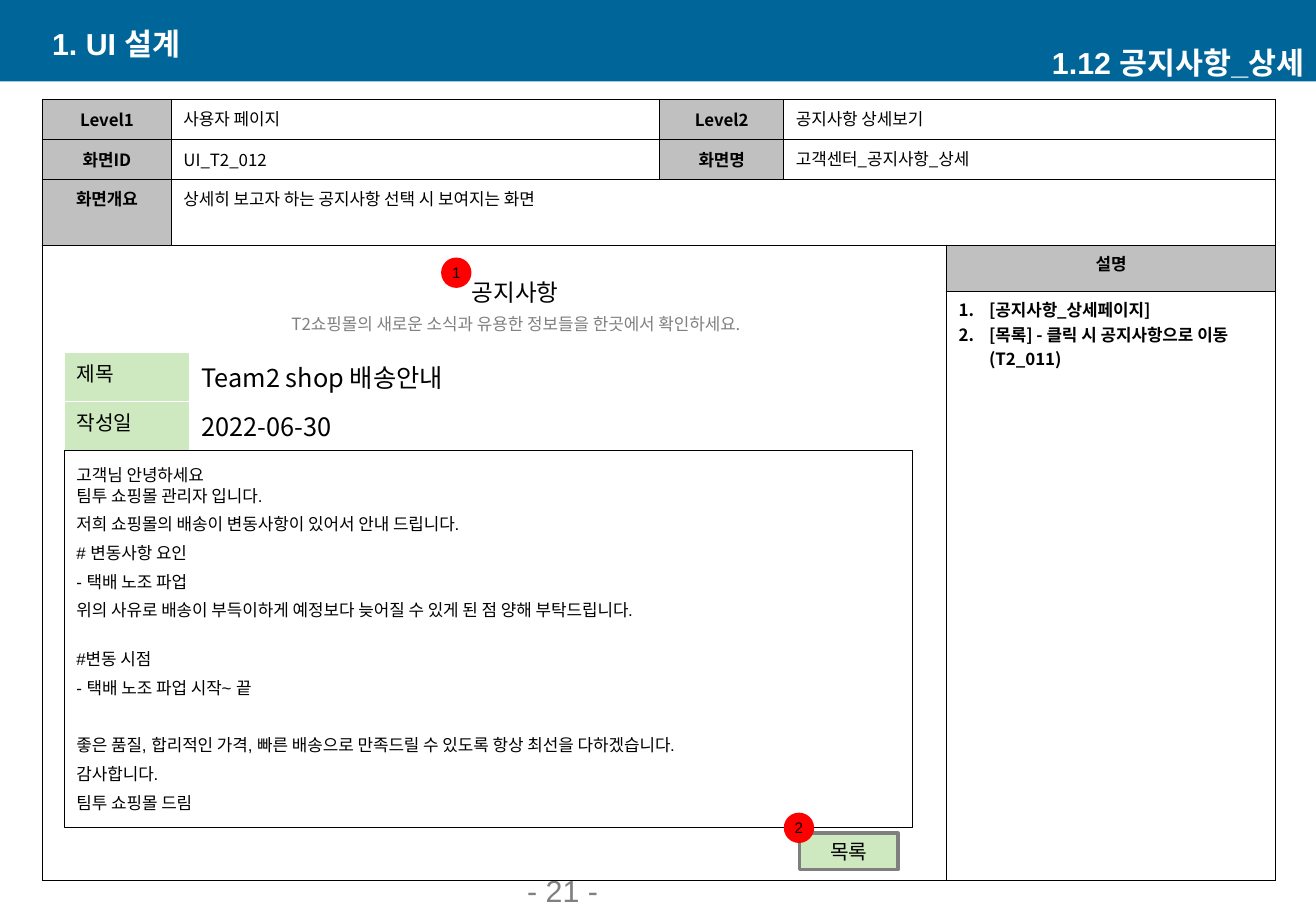
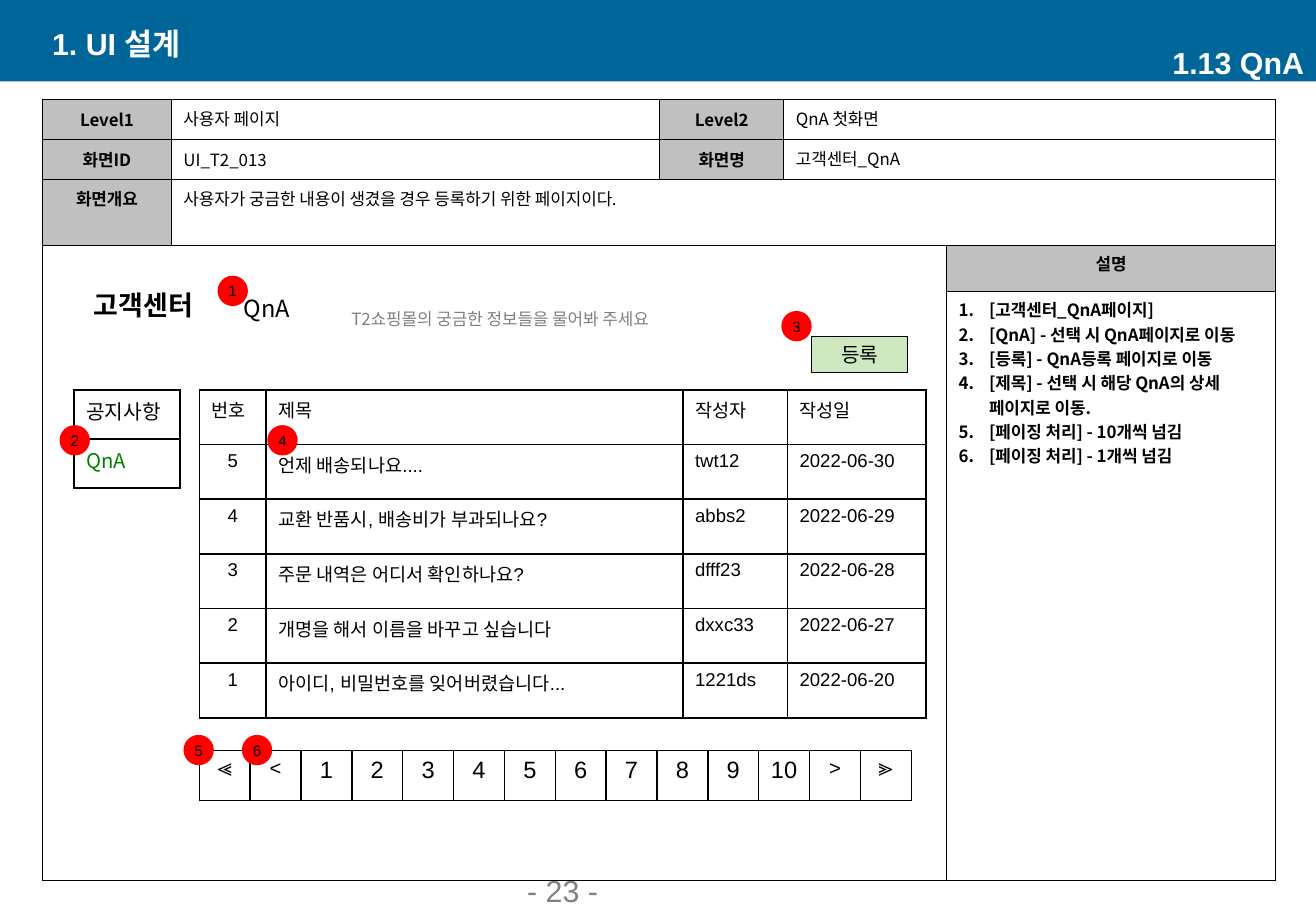
from lxml import etree
from pptx import Presentation
from pptx.dml.color import RGBColor
from pptx.enum.shapes import MSO_SHAPE
from pptx.enum.text import MSO_ANCHOR, PP_ALIGN
from pptx.oxml.ns import qn
from pptx.util import Inches, Pt

BLUE = RGBColor(0x00, 0x66, 0x99)
WHITE = RGBColor(0xFF, 0xFF, 0xFF)
BLACK = RGBColor(0x00, 0x00, 0x00)
GRAY = RGBColor(0x80, 0x80, 0x80)
DARK_GRAY = RGBColor(0x7F, 0x7F, 0x7F)
SILVER = RGBColor(0xC0, 0xC0, 0xC0)
MINT = RGBColor(0xCE, 0xE9, 0xBF)
GREEN = RGBColor(0x00, 0x80, 0x00)
RED = RGBColor(0xFF, 0x00, 0x00)

ARIAL, NOTO = "Arial", "Noto Sans CJK KR"
LEFT, CENTER, RIGHT = PP_ALIGN.LEFT, PP_ALIGN.CENTER, PP_ALIGN.RIGHT
TOP, MIDDLE, BOTTOM = MSO_ANCHOR.TOP, MSO_ANCHOR.MIDDLE, MSO_ANCHOR.BOTTOM
RECT, OVAL = MSO_SHAPE.RECTANGLE, MSO_SHAPE.OVAL

SCREENS = [
    {
        "page": "- 21 -",
        "title": "1.12 공지사항_상세",
        "level2": "공지사항 상세보기",
        "id": "UI_T2_012",
        "name": "고객센터_공지사항_상세",
        "overview": "상세히 보고자 하는 공지사항 선택 시 보여지는 화면",
        "notes": ["[공지사항_상세페이지]", "[목록] - 클릭 시 공지사항으로 이동(T2_011)"],
        "captions": [
            ("공지사항", 3.63, 2.24, 1.22, 0.43, 14, BLACK, False),
            ("T2쇼핑몰의 새로운 소식과 유용한 정보들을 한곳에서 확인하세요.",
             2, 2.53, 4.49, 0.27, 10, GRAY, False),
        ],
        "button": ("목록", 6.58, 6.86, 0.81, DARK_GRAY, 2),
        "markers": [(3.63, 2.12), (6.45, 6.69)],
    },
    {
        "page": "- 23 -",
        "title": "1.13 QnA",
        "level2": "QnA 첫화면",
        "id": "UI_T2_013",
        "name": "고객센터_QnA",
        "overview": "사용자가 궁금한 내용이 생겼을 경우 등록하기 위한 페이지이다.",
        "notes": ["[고객센터_QnA페이지]", "[QnA] - 선택 시 QnA페이지로 이동",
                  "[등록] - QnA등록 페이지로 이동",
                  "[제목] - 선택 시 해당 QnA의 상세 페이지로 이동.",
                  "[페이징 처리] - 10개씩 넘김", "[페이징 처리] - 1개씩 넘김"],
        "captions": [
            ("QnA", 1.87, 2.37, 0.65, 0.43, 14, BLACK, False),
            ("고객센터", 0.57, 2.33, 1.22, 0.43, 16, BLACK, True),
            ("T2쇼핑몰의 궁금한 정보들을 물어봐 주세요",
             2.5, 2.49, 3.23, 0.28, 10, GRAY, False),
        ],
        "button": ("등록", 6.68, 2.77, 0.79, BLACK, 0.75),
        "markers": [(1.79, 2.27), (0.49, 3.5), (6.43, 2.56),
                    (2.2, 3.5), (1.51, 6.05), (1.99, 6.05)],
    },
]


def write(tf, lines, size, font=NOTO, color=BLACK, bold=False, align=LEFT, anchor=TOP):
    tf.word_wrap = True
    tf.vertical_anchor = anchor
    for i, line in enumerate(lines):
        p = tf.paragraphs[0] if i == 0 else tf.add_paragraph()
        p.text = line
        p.alignment = align
        p.font.size = Pt(size)
        p.font.name = font
        p.font.color.rgb = color
        p.font.bold = bold


def add_grid(s, left, top, cols, rows, border=True):
    """Add an unfilled table, with thin black cell borders if asked for."""
    table = s.shapes.add_table(len(rows), len(cols), Inches(left), Inches(top),
                               Inches(sum(cols)), Inches(sum(rows))).table
    table.first_row = table.horz_banding = False
    for column, width in zip(table.columns, cols):
        column.width = Inches(width)
    for row, height in zip(table.rows, rows):
        row.height = Inches(height)
    for cell in table.iter_cells():
        cell.text_frame.paragraphs[0].font.size = Pt(10)
        tcPr = cell._tc.get_or_add_tcPr()
        for side in ("a:lnL", "a:lnR", "a:lnT", "a:lnB") if border else ():
            ln = etree.SubElement(tcPr, qn(side), w=str(Pt(1)))
            fill = etree.SubElement(ln, qn("a:solidFill"))
            etree.SubElement(fill, qn("a:srgbClr"), val=str(BLACK))
        cell.fill.background()
    return table


prs = Presentation()
prs.slide_width, prs.slide_height = Inches(10.83), Inches(7.5)
slides = []

# Header, footer and specification table of every screen
for screen in SCREENS:
    s = prs.slides.add_slide(prs.slide_layouts[6])
    slides.append(s)
    band = s.shapes.add_shape(RECT, 0, 0, prs.slide_width, Inches(0.67))
    band.shadow.inherit = False
    band.fill.solid()
    band.fill.fore_color.rgb = BLUE
    band.line.fill.background()

    for text, x, y, w, h, color, bold, align, anchor in (
        (screen["page"], 4.24, 7.3, 2.26, 0.23, GRAY, False, LEFT, BOTTOM),
        ("1. UI 설계", 0.33, 0.19, 4.38, 0.33, WHITE, True, LEFT, MIDDLE),
        (screen["title"], 6.45, 0.35, 4.38, 0.33, WHITE, True, RIGHT, MIDDLE),
    ):
        box = s.shapes.add_textbox(Inches(x), Inches(y), Inches(w), Inches(h))
        write(box.text_frame, [text], 18, ARIAL, color, bold, align, anchor)

    table = add_grid(s, 0.35, 0.82, [1.06, 4.02, 1.02, 1.34, 2.71],
                     [0.33, 0.33, 0.54, 0.38, 4.85])
    for first, last in (((0, 3), (0, 4)), ((1, 3), (1, 4)),
                        ((2, 1), (2, 4)), ((3, 0), (4, 3))):
        table.cell(*first).merge(table.cell(*last))
    for r, c, label, anchor in (
        (0, 0, "Level1", MIDDLE), (0, 2, "Level2", MIDDLE),
        (1, 0, "화면ID", MIDDLE), (1, 2, "화면명", MIDDLE),
        (2, 0, "화면개요", TOP), (3, 4, "설명", TOP),
    ):
        cell = table.cell(r, c)
        cell.fill.solid()
        cell.fill.fore_color.rgb = SILVER
        write(cell.text_frame, [label], 10, bold=True, align=CENTER)
        cell.vertical_anchor = anchor
    for r, c, value in (
        (0, 1, "사용자 페이지"), (0, 3, screen["level2"]), (1, 1, screen["id"]),
        (1, 3, screen["name"]), (2, 1, screen["overview"]),
    ):
        write(table.cell(r, c).text_frame, [value], 10)
    screen_id = table.cell(1, 1).text_frame.paragraphs[0]
    screen_id.line_spacing = 1.04
    screen_id.space_before = Pt(2)

    notes = table.cell(4, 4).text_frame
    write(notes, screen["notes"], 10, bold=True)
    for p in notes.paragraphs:
        pPr = p._p.get_or_add_pPr()
        pPr.set("marL", str(Inches(0.25)))
        pPr.set("indent", str(Inches(-0.25)))
        number = etree.Element(qn("a:buAutoNum"), type="arabicPeriod")
        pPr.insert(0, number)

    for text, x, y, w, h, size, color, bold in screen["captions"]:
        box = s.shapes.add_textbox(Inches(x), Inches(y), Inches(w), Inches(h))
        write(box.text_frame, [text], size, NOTO, color, bold, CENTER)

notice_slide, qna_slide = slides

# Notice detail
heading = add_grid(notice_slide, 0.53, 2.9, [1.03, 3.31], [0.405] * 2, border=False)
for r, (label, value) in enumerate((("제목", "Team2 shop 배송안내"),
                                    ("작성일", "2022-06-30"))):
    cell = heading.cell(r, 0)
    cell.fill.solid()
    cell.fill.fore_color.rgb = MINT
    write(cell.text_frame, [label], 12)
    write(heading.cell(r, 1).text_frame, [value], 15)

NOTICE = [
    ("고객님 안녕하세요\n팀투 쇼핑몰 관리자 입니다.", 2.5),
    ("저희 쇼핑몰의 배송이 변동사항이 있어서 안내 드립니다.", 2.5),
    ("# 변동사항 요인", 2.5),
    ("- 택배 노조 파업", 2.5),
    ("위의 사유로 배송이 부득이하게 예정보다 늦어질 수 있게 된 점 양해 부탁드립니다.", 2.5),
    ("#변동 시점", 14.5),
    ("- 택배 노조 파업 시작~ 끝", 2.5),
    ("좋은 품질, 합리적인 가격, 빠른 배송으로 만족드릴 수 있도록 항상 최선을 다하겠습니다.", 19.5),
    ("감사합니다.", 2.5),
    ("팀투 쇼핑몰 드림", 2.5),
]
body = notice_slide.shapes.add_shape(RECT, Inches(0.53), Inches(3.71),
                                     Inches(6.98), Inches(3.1))
body.shadow.inherit = False
body.fill.solid()
body.fill.fore_color.rgb = WHITE
body.line.color.rgb = BLACK
body.line.width = Pt(0.25)
write(body.text_frame, [text for text, _ in NOTICE], 10, ARIAL, anchor=MIDDLE)
for p, (_, before) in zip(body.text_frame.paragraphs, NOTICE):
    p.space_before = Pt(before)
    p.space_after = Pt(2.5)

# QnA list
menu = add_grid(qna_slide, 0.61, 3.21, [0.87], [0.405] * 2)
write(menu.cell(0, 0).text_frame, ["공지사항"], 12)
write(menu.cell(1, 0).text_frame, ["QnA"], 12, color=GREEN)

QUESTIONS = [
    ("번호", "제목", "작성자", "작성일"),
    ("5", "언제 배송되나요....", "twt12", "2022-06-30"),
    ("4", "교환 반품시, 배송비가 부과되나요?", "abbs2", "2022-06-29"),
    ("3", "주문 내역은 어디서 확인하나요?", "dfff23", "2022-06-28"),
    ("2", "개명을 해서 이름을 바꾸고 싶습니다", "dxxc33", "2022-06-27"),
    ("1", "아이디, 비밀번호를 잊어버렸습니다...", "1221ds", "2022-06-20"),
]
board = add_grid(qna_slide, 1.64, 3.21, [0.55, 3.43, 0.86, 1.14], [0.45] * len(QUESTIONS))
for r, question in enumerate(QUESTIONS):
    for c, text in enumerate(question):
        align = CENTER if r and c == 0 else LEFT
        write(board.cell(r, c).text_frame, [text], 11, ARIAL, align=align)

PAGES = ["≪", "<", *(str(n) for n in range(1, 11)), ">", "≫"]
pager = add_grid(qna_slide, 1.64, 6.18, [5.86 / len(PAGES)] * len(PAGES), [0.41])
for c, text in enumerate(PAGES):
    size = 14 if text.isdigit() else 12
    write(pager.cell(0, c).text_frame, [text], size, ARIAL, align=CENTER)

# Buttons and numbered markers lie on top
for s, screen in zip(slides, SCREENS):
    text, x, y, w, line_color, line_width = screen["button"]
    button = s.shapes.add_shape(RECT, Inches(x), Inches(y), Inches(w), Inches(0.3))
    button.shadow.inherit = False
    button.fill.solid()
    button.fill.fore_color.rgb = MINT
    button.line.color.rgb = line_color
    button.line.width = Pt(line_width)
    write(button.text_frame, [text], 12, ARIAL, align=CENTER, anchor=MIDDLE)

    for n, (x, y) in enumerate(screen["markers"], 1):
        marker = s.shapes.add_shape(OVAL, Inches(x), Inches(y), Inches(0.25), Inches(0.25))
        marker.shadow.inherit = False
        marker.fill.solid()
        marker.fill.fore_color.rgb = RED
        marker.line.fill.background()
        tf = marker.text_frame
        tf.margin_left = tf.margin_right = tf.margin_top = tf.margin_bottom = 0
        write(tf, [str(n)], 9, ARIAL, align=CENTER, anchor=MIDDLE)

prs.save("out.pptx")
